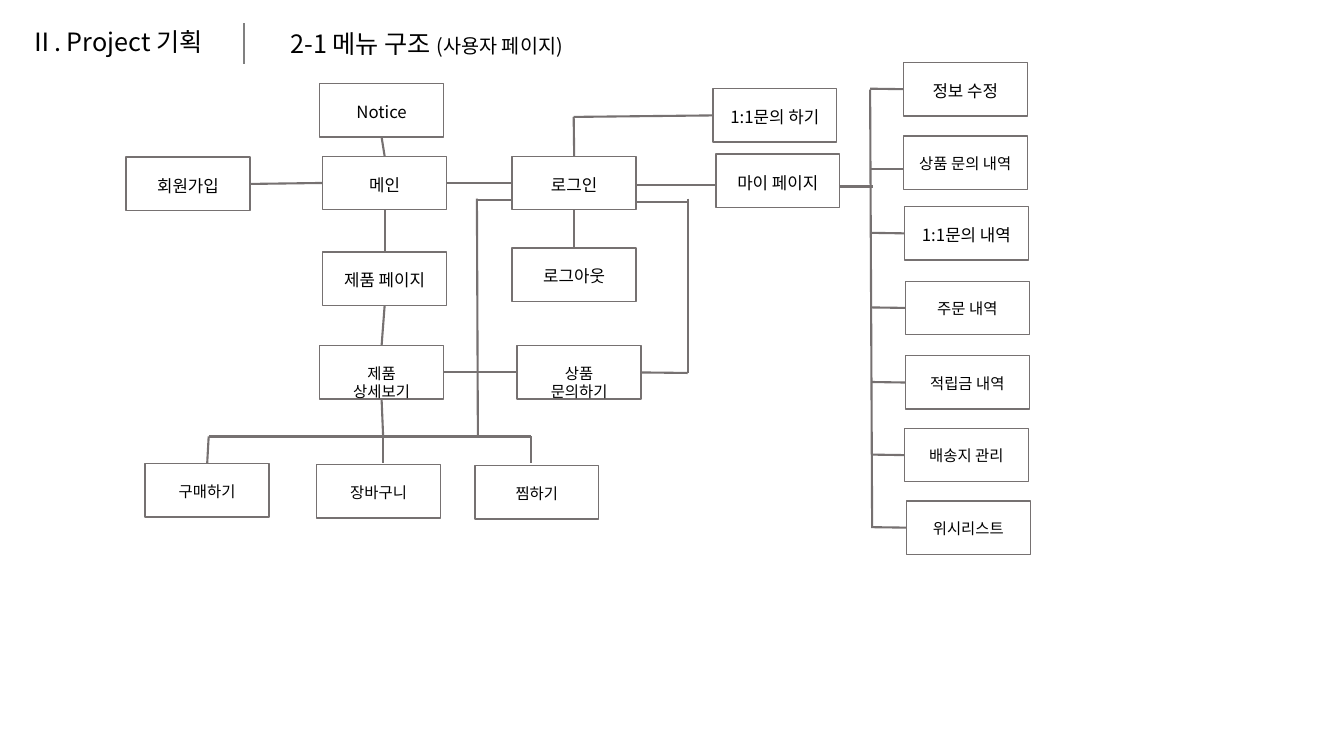
from lxml import etree
from pptx import Presentation
from pptx.dml.color import RGBColor
from pptx.enum.shapes import MSO_CONNECTOR, MSO_SHAPE
from pptx.enum.text import MSO_ANCHOR, MSO_AUTO_SIZE, PP_ALIGN
from pptx.oxml.ns import qn
from pptx.util import Pt

PX = 9144  # 100 px to the inch
FONT = "Noto Sans CJK KR"
BLACK = RGBColor(0x00, 0x00, 0x00)
WHITE = RGBColor(0xFF, 0xFF, 0xFF)
BOX_GRAY = RGBColor(0x76, 0x71, 0x71)
DIVIDER_GRAY = RGBColor(0x80, 0x80, 0x80)
STRAIGHT = MSO_CONNECTOR.STRAIGHT
RECTANGLE = MSO_SHAPE.RECTANGLE
TOP_ANCHOR, NO_AUTOSIZE = MSO_ANCHOR.TOP, MSO_AUTO_SIZE.NONE
LEFT_ALIGN, CENTER = PP_ALIGN.LEFT, PP_ALIGN.CENTER
TOP, LEFT, BOTTOM, RIGHT = range(4)
BOX_WIDTH, BOX_HEIGHT = 123, 53

deck = Presentation()
deck.slide_width, deck.slide_height = 1333 * PX, 750 * PX
page = deck.slides.add_slide(deck.slide_layouts[5])


def style_span(span, size):
    span.font.name = FONT
    span.font.size = Pt(size)
    span.font.color.rgb = BLACK
    etree.SubElement(span.font._element, qn("a:ea"), typeface=FONT)


def add_line(start, end, color):
    """Each end is a point (x, y) or a box side (name, side)."""
    points = [(0, 0) if spot[0] in boxes else spot for spot in (start, end)]
    line = page.shapes.add_connector(
        STRAIGHT, *[value * PX for point in points for value in point])
    if start[0] in boxes:
        line.begin_connect(boxes[start[0]], start[1])
    if end[0] in boxes:
        line.end_connect(boxes[end[0]], end[1])
    line.line.color.rgb = color
    line.line.width = Pt(1.5)
    etree.SubElement(line._element.spPr, qn("a:effectLst"))


# Heading: section name, divider and page title
section = page.shapes.add_textbox(19 * PX, 21 * PX, 272 * PX, 40 * PX)
section.text_frame.word_wrap = True
section.text_frame.text = "Ⅱ. Project 기획"
style_span(section.text_frame.paragraphs[0].runs[0], 18)

title = page.shapes.title
title.left, title.top, title.width, title.height = [
    value * PX for value in (278, 23, 441, 40)]
title.text_frame.text = "2-1 메뉴 구조 "
title.text_frame.auto_size = NO_AUTOSIZE
title.text_frame.vertical_anchor = TOP_ANCHOR
title_para = title.text_frame.paragraphs[0]
title_para.alignment = LEFT_ALIGN
title_para.add_run().text = "(사용자 페이지)"
for span, size in zip(title_para.runs, (18, 14)):
    style_span(span, size)

# Menu boxes: name, left, top, text size
my_page_items = [
    ("정보 수정", 896, 62, 12),
    ("상품 문의 내역", 896, 135, 11),
    ("1:1문의 내역", 897, 205, 12),
    ("주문 내역", 898, 279, 11),
    ("적립금 내역", 898, 353, 11),
    ("배송지 관리", 897, 425, 11),
    ("위시리스트", 899, 497, 11),
]
menu_items = [
    ("Notice", 317, 83, 12),
    ("회원가입", 125, 156, 12),
    ("메인", 320, 155, 12),
    ("로그인", 508, 155, 12),
    ("마이 페이지", 710, 153, 12),
    ("1:1문의 하기", 707, 88, 12),
    ("제품 페이지", 320, 250, 12),
    ("로그아웃", 508, 246, 12),
    ("제품 상세보기", 317, 343, 11),
    ("상품 문의하기", 513, 343, 11),
    ("구매하기", 144, 460, 11),
    ("장바구니", 314, 461, 11),
    ("찜하기", 471, 462, 11),
]
two_line_names = ("제품 상세보기", "상품 문의하기")
boxes = {}
for name, left, top, size in menu_items + my_page_items:
    box = page.shapes.add_shape(
        RECTANGLE, left * PX, top * PX, BOX_WIDTH * PX, BOX_HEIGHT * PX)
    box.shadow.inherit = False
    box.fill.solid()
    box.fill.fore_color.rgb = WHITE
    box.line.color.rgb = BOX_GRAY
    box.line.width = Pt(1)
    frame = box.text_frame
    frame.word_wrap = True
    frame.vertical_anchor = TOP_ANCHOR
    frame.margin_left = frame.margin_right = (20 if name in two_line_names else 12) * PX
    frame.margin_top, frame.margin_bottom = 18 * PX, 0
    frame.text = name
    frame.paragraphs[0].alignment = CENTER
    style_span(frame.paragraphs[0].runs[0], size)
    boxes[name] = box

add_line((242, 23), (242, 64), DIVIDER_GRAY)

# Lines between the menu boxes
menu_lines = [
    (("Notice", BOTTOM), ("메인", TOP)),
    (("회원가입", RIGHT), ("메인", LEFT)),
    (("메인", RIGHT), ("로그인", LEFT)),
    (("메인", BOTTOM), ("제품 페이지", TOP)),
    (("제품 페이지", BOTTOM), ("제품 상세보기", TOP)),
    (("제품 상세보기", RIGHT), ("상품 문의하기", LEFT)),
    (("로그인", BOTTOM), ("로그아웃", TOP)),
    # Login to the inquiry form and to my page
    (("로그인", TOP), (569, 116)),
    ((569, 116), ("1:1문의 하기", LEFT)),
    ((630, 184), (711, 184)),
    ((833, 185), (866, 185)),
    # Login to the product inquiry
    ((630, 200), (682, 200)),
    ((682, 197), (682, 370)),
    (("상품 문의하기", RIGHT), (682, 370)),
    # Login and product detail to the purchase row
    ((508, 198), (472, 198)),
    ((473, 197), (474, 433)),
    (("제품 상세보기", BOTTOM), (380, 433)),
    ((207, 433), (527, 433)),
    ((207, 433), ("구매하기", TOP)),
    ((380, 433), (380, 459)),
    ((527, 433), (527, 459)),
    # Trunk of the my page branches
    ((863, 89), (865, 524)),
]
for start, end in menu_lines:
    add_line(start, end, BOX_GRAY)

# Branches from the trunk to the my page boxes
for name, left, top, size in my_page_items:
    middle = top + BOX_HEIGHT // 2
    if name == "상품 문의 내역":
        add_line((863, 168), (left, 168), BOX_GRAY)
    else:
        add_line((left - 33, middle), (name, LEFT), BOX_GRAY)

deck.save("out.pptx")
